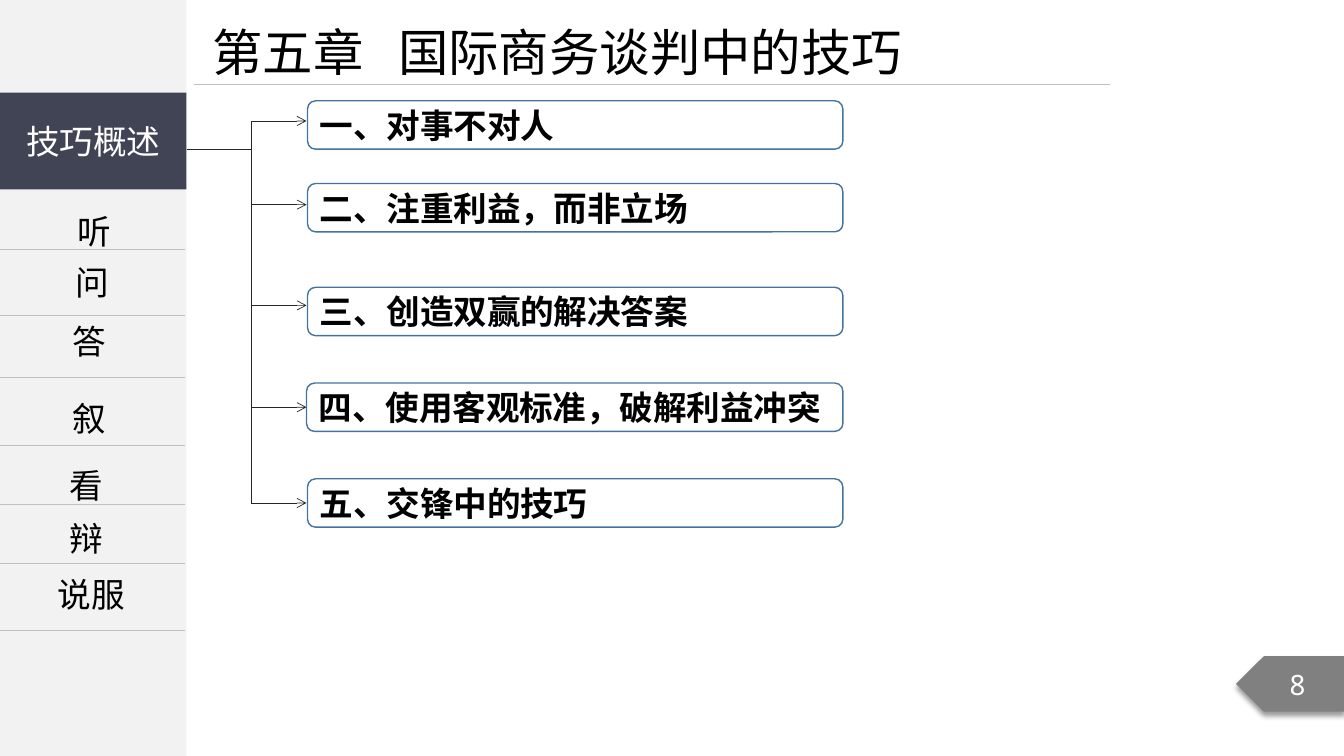
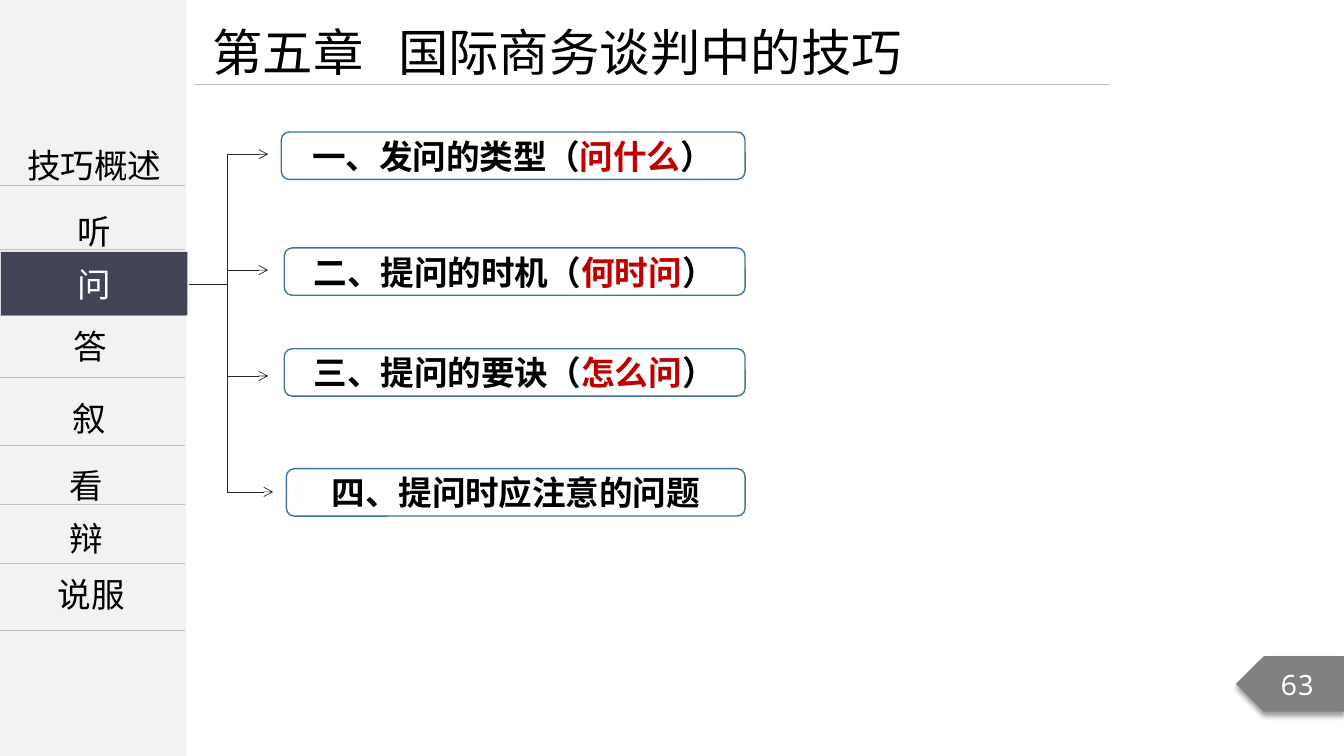
from lxml.etree import SubElement
from pptx import Presentation
from pptx.dml.color import RGBColor
from pptx.enum.shapes import MSO_CONNECTOR, MSO_SHAPE
from pptx.enum.text import MSO_ANCHOR, PP_ALIGN
from pptx.oxml.ns import qn
from pptx.util import Inches, Pt

BLACK = RGBColor(0x00, 0x00, 0x00)
WHITE = RGBColor(0xFF, 0xFF, 0xFF)
RED = RGBColor(0xC0, 0x00, 0x00)
PALE = RGBColor(0xF2, 0xF2, 0xF2)
RULE = RGBColor(0xBF, 0xBF, 0xBF)
GREY = RGBColor(0x80, 0x80, 0x80)
NAVY = RGBColor(0x41, 0x44, 0x55)
BLUE = RGBColor(0x43, 0x73, 0x9E)
INK = RGBColor(0x26, 0x26, 0x26)

SIDE = 1.85
MENU = {
    "技巧概述": (0.02, 1.19, 1.5),
    "听": (0.02, 1.84, 1.5),
    "问": (0, 2.55, 1),
    "答": (-0.03, 3.13, 1),
    "叙": (-0.03, 3.7, 1.5),
    "看": (-0.06, 4.36, 1.5),
    "辩": (-0.06, 5.09, 1),
    "说服": (-0.01, 5.64, 1),
}
MENU_RULES = [1.84, 2.47, 3.13, 3.74, 4.42, 5, 5.59, 6.25]


class Deck:
    """Chapter slides with a side menu and a branching list of topics."""

    font = "Noto Sans CJK SC"
    number_font = "Noto Sans Mono"

    def __init__(self):
        self.prs = Presentation()
        self.prs.slide_width = Inches(13.33)
        self.prs.slide_height = Inches(7.5)
        self.s = None

    def new_slide(self, title, number):
        self.s = self.prs.slides.add_slide(self.prs.slide_layouts[6])
        self.shape(MSO_SHAPE.RECTANGLE, 0, 0, SIDE, 7.5, PALE)
        self.line(1.92, 0.84, 11.01, 0.84, RULE)
        self.page_number(number)
        p = self.text_box(title, 2.01, 0.16, 9.67, 0.71, 36, PP_ALIGN.LEFT)
        tabs = SubElement(p._p.get_or_add_pPr(), qn("a:tabLst"))
        SubElement(tabs, qn("a:tab"), pos=str(Inches(1.84)), algn="l")

    def shape(self, kind, x, y, w, h, fill=None, outline=None):
        sp = self.s.shapes.add_shape(kind, Inches(x), Inches(y), Inches(w), Inches(h))
        sp.shadow.inherit = False
        if fill is None:
            sp.fill.background()
        else:
            sp.fill.solid()
            sp.fill.fore_color.rgb = fill
        if outline is None:
            sp.line.fill.background()
        else:
            sp.line.color.rgb = outline
            sp.line.width = Pt(1)
        return sp

    def label(self, sp, text, size=24, color=BLACK, align=PP_ALIGN.CENTER,
              font=None, bold=False):
        tf = sp.text_frame
        tf.word_wrap = True
        p = tf.paragraphs[0]
        p.alignment = align
        for i, piece in enumerate(text.split("|")):
            r = p.add_run()
            r.text = piece
            r.font.size = Pt(size)
            r.font.bold = bold
            r.font.color.rgb = RED if i % 2 else color
            r.font.name = font or self.font
            rPr = r._r.get_or_add_rPr()
            SubElement(rPr, qn("a:ea"), typeface=font or self.font)
            if bold:
                rPr.set("spc", "-10")
        return p

    def text_box(self, text, x, y, w, h, size=24, align=PP_ALIGN.CENTER):
        sp = self.s.shapes.add_textbox(Inches(x), Inches(y), Inches(w), Inches(h))
        return self.label(sp, text, size, align=align)

    def line(self, x1, y1, x2, y2, color, arrow=False):
        c = self.s.shapes.add_connector(
            MSO_CONNECTOR.STRAIGHT, Inches(x1), Inches(y1), Inches(x2), Inches(y2))
        c.line.color.rgb = color
        c.line.width = Pt(0.5)
        spPr = c._element.spPr
        if arrow:
            SubElement(spPr.find(qn("a:ln")), qn("a:tailEnd"), type="arrow")
        SubElement(spPr, qn("a:effectLst"))

    def page_number(self, number):
        sp = self.shape(MSO_SHAPE.PENTAGON, 12.26, 6.51, 1.08, 0.55, GREY)
        spPr = sp._element.spPr
        spPr.find(qn("a:xfrm")).set("flipH", "1")
        shadow = SubElement(
            spPr.find(qn("a:effectLst")), qn("a:outerShdw"), blurRad=str(Pt(4)),
            dist=str(Pt(3)), dir="5400000", algn="t", rotWithShape="0")
        clr = SubElement(shadow, qn("a:srgbClr"), val="000000")
        SubElement(clr, qn("a:alpha"), val="40000")
        sp.text_frame.vertical_anchor = MSO_ANCHOR.MIDDLE
        self.label(sp, str(number), 20, WHITE, font=self.number_font)

    def menu(self, active, x, y, h, moved=None):
        for rule in MENU_RULES:
            if not y < rule < y + h:
                self.line(0, rule, SIDE - 0.02, rule, RULE)
        for name, (left, top, spacing) in {**MENU, **(moved or {})}.items():
            if name != active:
                p = self.text_box(name, left, top, 1.83, 0.64 if spacing > 1 else 0.5)
                p.line_spacing = spacing
        sp = self.shape(MSO_SHAPE.RECTANGLE, x, y, SIDE, h, NAVY)
        sp.text_frame.vertical_anchor = MSO_ANCHOR.MIDDLE
        self.label(sp, active, color=WHITE)

    def branch(self, stem_x, stem_y, spine_x, arrows):
        self.line(stem_x, stem_y, spine_x, stem_y, INK)
        self.line(spine_x, arrows[0][0], spine_x, arrows[-1][0], INK)
        for y, tip in arrows:
            self.line(spine_x, y, tip, y, INK, arrow=True)

    def topics(self, items, right, h, align):
        for text, x, y in items:
            sp = self.shape(MSO_SHAPE.ROUNDED_RECTANGLE, x, y, right - x, h, outline=BLUE)
            sp.text_frame.vertical_anchor = MSO_ANCHOR.MIDDLE
            self.label(sp, text, align=align, bold=True)


def main():
    deck = Deck()
    title = "第五章\t国际商务谈判中的技巧"

    deck.new_slide(title, 8)
    deck.menu("技巧概述", 0, 0.92, 0.96)
    deck.branch(SIDE, 1.48, 2.49, [(y, 3.04) for y in (1.2, 2.03, 3.03, 4.04, 4.99)])
    deck.topics([
        ("一、对事不对人", 3.05, 1),
        ("二、注重利益，而非立场", 3.05, 1.82),
        ("三、创造双赢的解决答案", 3.05, 2.85),
        ("四、使用客观标准，破解利益冲突", 3.04, 3.8),
        ("五、交锋中的技巧", 3.05, 4.75),
    ], 8.36, 0.48, PP_ALIGN.LEFT)

    deck.new_slide(title, 63)
    deck.menu("问", 0.01, 2.5, 0.63, {"答": (-0.02, 3.18, 1)})
    deck.branch(1.87, 2.82, 2.25, [(1.53, 2.66), (2.68, 2.66), (3.73, 2.66), (4.88, 2.71)])
    deck.topics([
        ("一、发问的类型（|问什么|）", 2.79, 1.31),
        ("二、提问的时机（|何时问|）", 2.82, 2.46),
        ("三、提问的要诀（|怎么问|）", 2.82, 3.46),
        ("四、提问时应注意的问题", 2.84, 4.65),
    ], 7.39, 0.47, PP_ALIGN.CENTER)

    deck.prs.save("out.pptx")


if __name__ == "__main__":
    main()
